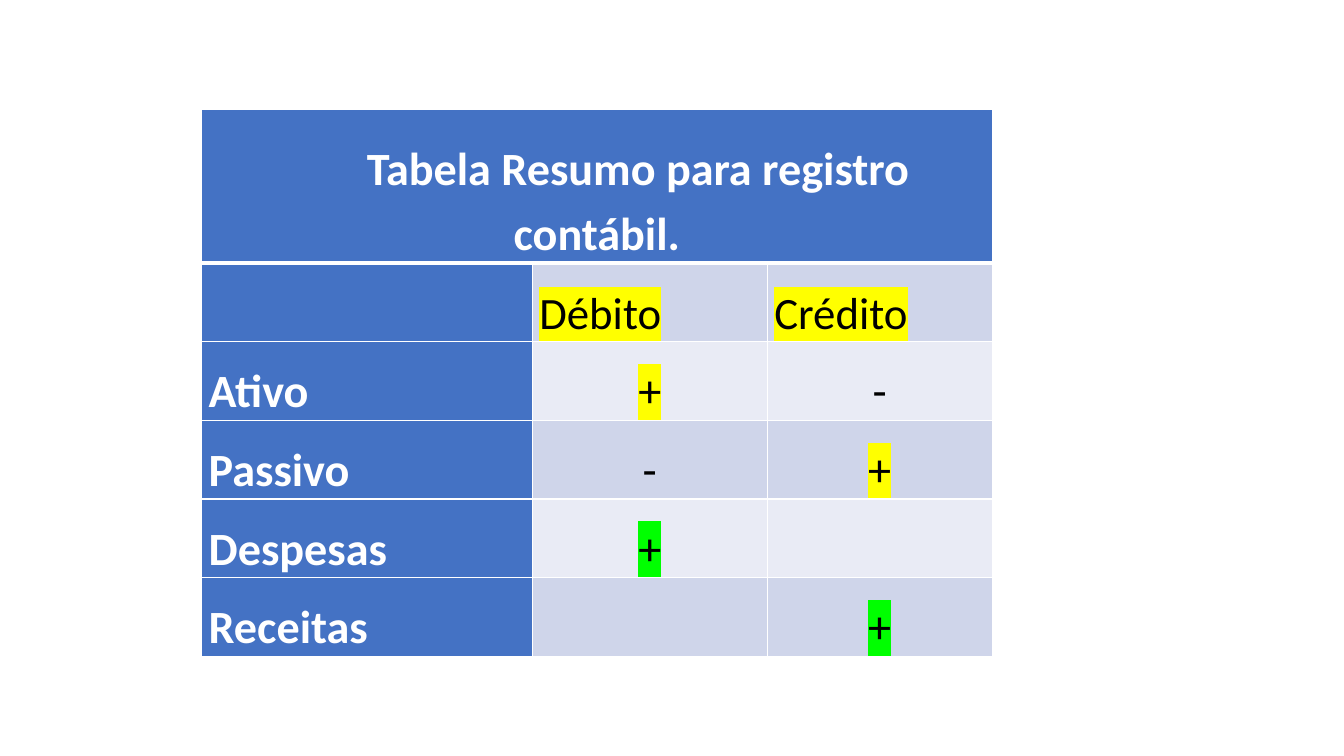
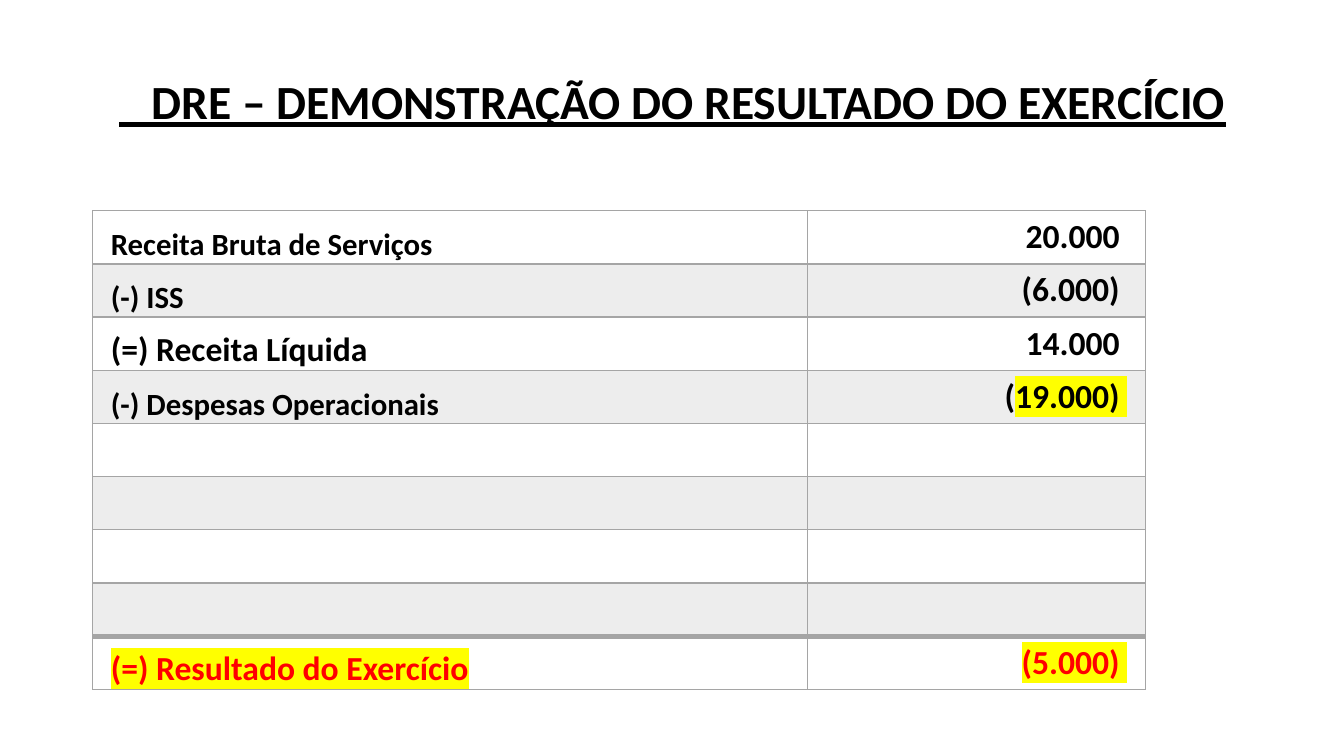
from lxml import etree
from pptx import Presentation
from pptx.dml.color import RGBColor
from pptx.enum import text
from pptx.oxml import ns

PX = 9144  # 100 px to the inch
FACE = "Calibri"
HARD = chr(160)  # no-break space after each amount

WHITE = RGBColor(0xFF, 0xFF, 0xFF)
BLACK = RGBColor(0x00, 0x00, 0x00)
RED = RGBColor(0xFF, 0x00, 0x00)
BLUE = RGBColor(0x44, 0x72, 0xC4)
DARK = RGBColor(0xCF, 0xD5, 0xEA)
LIGHT = RGBColor(0xE9, 0xEB, 0xF5)
GREY = RGBColor(0xA5, 0xA5, 0xA5)
PALE = RGBColor(0xED, 0xED, 0xED)
GOLD = RGBColor(0xFF, 0xFF, 0x00)
LIME = RGBColor(0x00, 0xFF, 0x00)

LEFT, MID, RIGHT = text.PP_ALIGN.LEFT, text.PP_ALIGN.CENTER, text.PP_ALIGN.RIGHT
TOP, LOW = text.MSO_ANCHOR.TOP, text.MSO_ANCHOR.BOTTOM


def grid(slide, left, top, cols, rows, rules, ink, pad):
    """Add a table; rules holds the width in points of each horizontal line."""
    table = slide.shapes.add_table(len(rows), len(cols), left * PX, top * PX,
                                   sum(cols) * PX, int(sum(rows) * PX)).table
    table.first_row = table.horz_banding = False
    for col, wide in zip(table.columns, cols):
        col.width = wide * PX
    for r, high in enumerate(rows):
        table.rows[r].height = int(high * PX)
        for cell in table.rows[r].cells:
            cell.margin_left = cell.margin_right = pad * PX
            cell.margin_top = cell.margin_bottom = 0
            cell.vertical_anchor = LOW
            props = cell._tc.get_or_add_tcPr()
            for side, size in zip("LRTB", (1, 1, rules[r], rules[r + 1])):
                line = etree.SubElement(props, ns.qn("a:ln" + side), w=str(size * 12700))
                fill = etree.SubElement(line, ns.qn("a:solidFill"))
                etree.SubElement(fill, ns.qn("a:srgbClr"), val=str(ink))
    return table


def put(para, parts, size, ink, align, bold=True, space=1.15):
    """Write (words, highlight) parts into a paragraph."""
    para.alignment = align
    para.line_spacing = space
    font = para.font
    font.name, font.size, font.bold = FACE, size * 12700, bold
    font.color.rgb = ink
    for words, mark in parts:
        run = para.add_run()
        run.text = words
        if mark:
            glow = etree.SubElement(run._r.get_or_add_rPr(), ns.qn("a:highlight"))
            etree.SubElement(glow, ns.qn("a:srgbClr"), val=str(mark))


deck = Presentation()
deck.slide_width, deck.slide_height = 1333 * PX, 750 * PX
blank = deck.slide_layouts[6]

# Slide 1: debit and credit summary
slide = deck.slides.add_slide(blank)
table = grid(slide, 200, 109, [328, 233, 223], [152] + [78] * 5,
             [1, 3, 1, 1, 1, 1, 1], WHITE, 7)

# Heading across all columns
head = table.cell(0, 0)
head.merge(table.cell(0, 2))
head.fill.solid()
head.fill.fore_color.rgb = BLUE
para = head.text_frame.paragraphs[0]
put(para, [("Tabela Resumo para registro contábil.", None)], 33, WHITE, MID)
para._p.get_or_add_pPr().set("indent", str(82 * PX))

# Label, debit and credit in each row
signs = [
    ("", ("Débito", GOLD), ("Crédito", GOLD)),
    ("Ativo", ("+", GOLD), ("-", None)),
    ("Passivo", ("-", None), ("+", GOLD)),
    ("Despesas", ("+", LIME), None),
    ("Receitas", None, ("+", LIME)),
]
for r, (label, *marks) in enumerate(signs, 1):
    for c, cell in enumerate(table.rows[r].cells):
        cell.fill.solid()
        cell.fill.fore_color.rgb = (DARK if r % 2 else LIGHT) if c else BLUE
        para = cell.text_frame.paragraphs[0]
        if c == 0 and label:
            put(para, [(label, None)], 33, WHITE, LEFT)
        elif c and marks[c - 1]:
            size, align = (32, LEFT) if r == 1 else (33, MID)
            put(para, [marks[c - 1]], size, BLACK, align, bold=False)

# Slide 2: income statement
slide = deck.slides.add_slide(blank)
box = slide.shapes.add_textbox(92 * PX, 32 * PX, 1150 * PX, 102 * PX)
frame = box.text_frame
frame.word_wrap = True
frame.vertical_anchor = LOW
para = frame.paragraphs[0]
# The underline starts ahead of the first word
put(para, [("   DRE – DEMONSTRAÇÃO DO RESULTADO DO EXERCÍCIO", None)],
    34, BLACK, MID, space=0.9)
para.font.underline = True

# Row: label, label size, amount parts, ink, label highlight
items = [
    ("Receita Bruta de Serviços", 22, [("20.000", None)], BLACK, None),
    ("(-) ISS", 22, [("(6.000)", None)], BLACK, None),
    ("(=) Receita Líquida", 24, [("14.000", None)], BLACK, None),
    ("(-) Despesas Operacionais", 22, [("(", None), ("19.000)", GOLD)], BLACK, None),
    None, None, None, None,
    ("(=) Resultado do Exercício", 24, [("(5.000)", GOLD)], RED, GOLD),
]
count = len(items)
table = grid(slide, 92, 209, [709, 335], [475 / count] * count,
             [1, 2, 1, 1, 1, 1, 1, 1, 4, 1], GREY, 18)
for r, item in enumerate(items):
    name, value = table.rows[r].cells
    for cell in (name, value):
        cell.fill.solid()
        cell.fill.fore_color.rgb = PALE if r % 2 else WHITE
    if item:
        label, size, parts, ink, mark = item
        value.vertical_anchor = TOP
        *first, (last, glow) = parts
        put(name.text_frame.paragraphs[0], [(label, mark)], size, ink, LEFT)
        put(value.text_frame.paragraphs[0], first + [(last + HARD, glow)], 24, ink, RIGHT)

deck.save("out.pptx")
